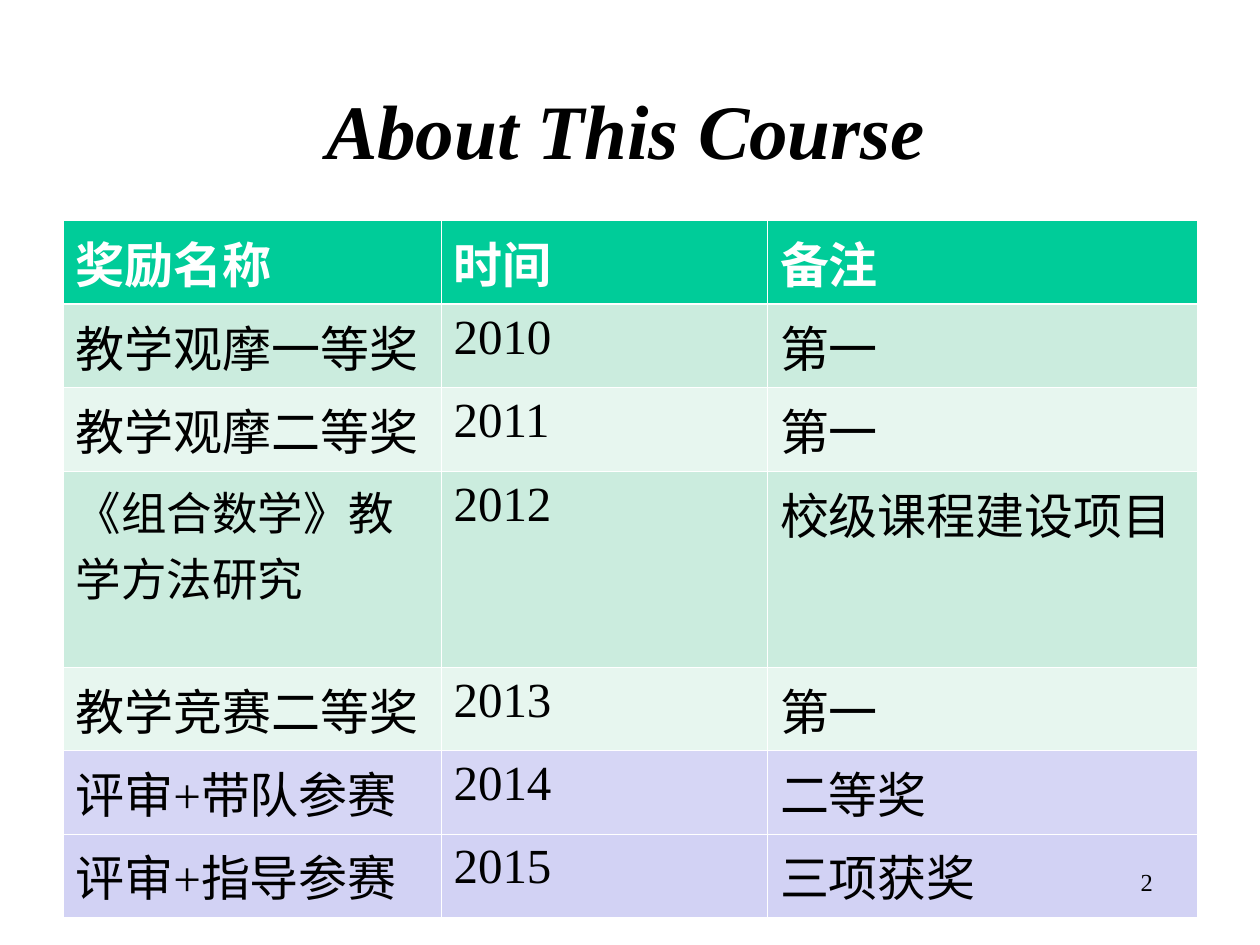
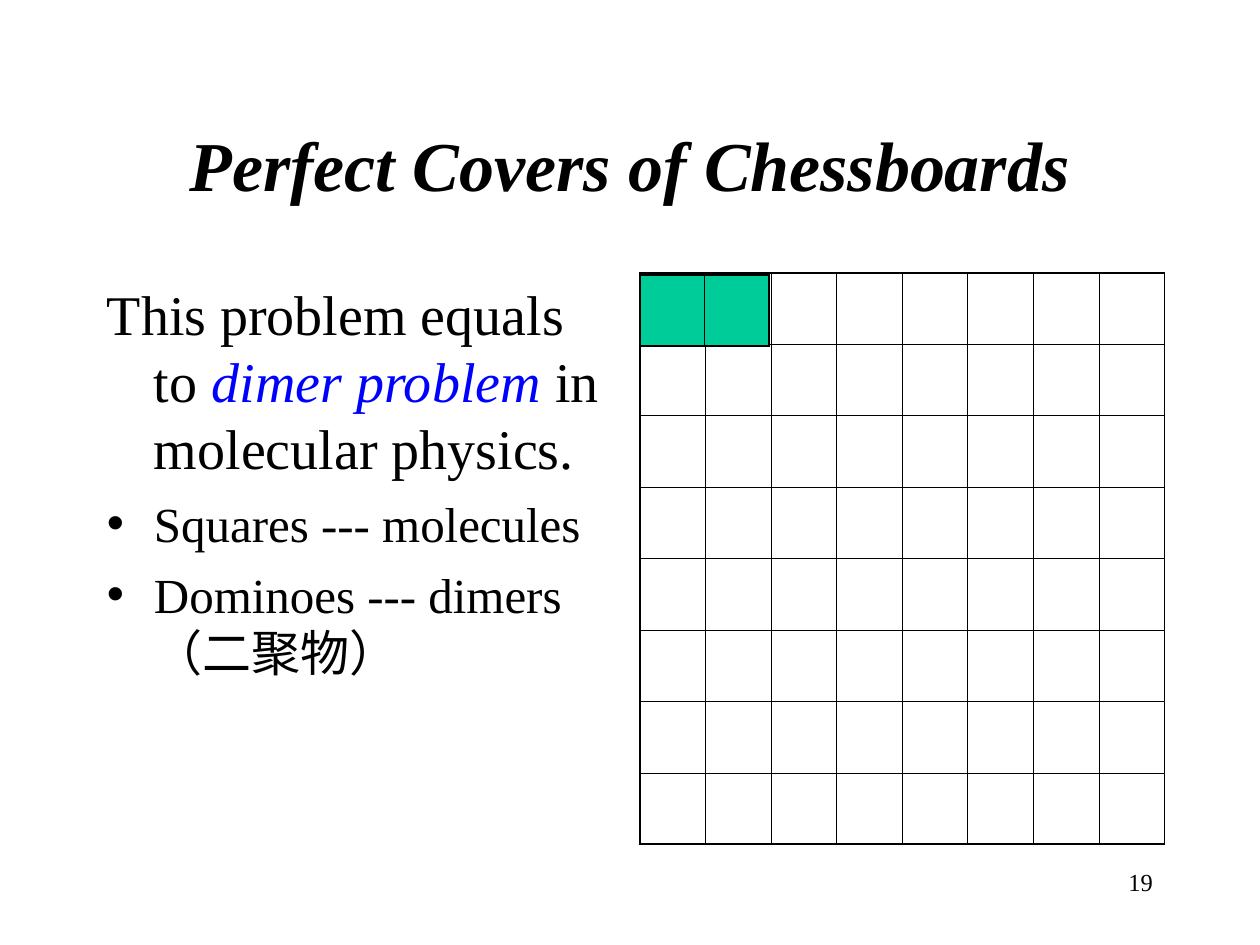
import dataclasses
import typing

import pptx
import pptx.dml.color
import pptx.enum.text
import pptx.oxml.ns
import pptx.oxml.xmlchemy
import pptx.shapes.base
import pptx.slide
import pptx.table
import pptx.text.text
import pptx.util
from lxml import etree

BLACK = pptx.dml.color.RGBColor(0x00, 0x00, 0x00)
WHITE = pptx.dml.color.RGBColor(0xFF, 0xFF, 0xFF)
BLUE = pptx.dml.color.RGBColor(0x00, 0x00, 0xFF)
GREEN = pptx.dml.color.RGBColor(0x00, 0xCC, 0x99)
MINT = pptx.dml.color.RGBColor(0xCB, 0xEC, 0xDE)
PALE = pptx.dml.color.RGBColor(0xE7, 0xF6, 0xEF)
LILAC = pptx.dml.color.RGBColor(0xD6, 0xD6, 0xF5)
MAUVE = pptx.dml.color.RGBColor(0xD2, 0xD2, 0xF4)

FONT = "Times New Roman"
THIN, RIM, RULE = 0.45, 1.08, 1.47
ALIGN = pptx.enum.text.PP_ALIGN


class Box(typing.NamedTuple):
    """Place and size in centimetres."""
    left: float
    top: float
    width: float
    height: float

    def emu(self) -> list[pptx.util.Length]:
        return [pptx.util.Cm(side) for side in self]


class Sides(typing.NamedTuple):
    """Border widths of a cell in points, in the order the file needs."""
    lnL: float = THIN
    lnR: float = THIN
    lnT: float = THIN
    lnB: float = THIN


@dataclasses.dataclass
class Award:
    name: str
    year: str
    note: str
    fill: pptx.dml.color.RGBColor
    size: int = 28


@dataclasses.dataclass
class Grid:
    """A board of equal cells with a heavier rim."""
    box: Box
    rows: int
    cols: int
    fill: pptx.dml.color.RGBColor | None = None


PAGE = Box(18.21, 17.35, 5.28, 1.27)
HEAD = Award("奖励名称", "时间", "备注", GREEN)
AWARDS = [
    Award("教学观摩一等奖", "2010", "第一", MINT),
    Award("教学观摩二等奖", "2011", "第一", PALE),
    Award("《组合数学》教学方法研究", "2012", "校级课程建设项目", MINT, 26),
    Award("教学竞赛二等奖", "2013", "第一", PALE),
    Award("评审+带队参赛", "2014", "二等奖", LILAC),
    Award("评审+指导参赛", "2015", "三项获奖", MAUVE),
]
WIDTHS = [7.62, 6.58, 8.66]
LOW, TALL = 1.68, 3.95
BOARD = Grid(Box(12.9, 5.5, 10.58, 11.52), 8, 8)
DOMINO = Grid(Box(12.9, 5.54, 2.6, 1.44), 1, 2, GREEN)


def style(run: pptx.text.text._Run, size: float, color: pptx.dml.color.RGBColor = BLACK,
          bold: bool = False, slant: bool = False) -> None:
    font = run.font
    font.name, font.size = FONT, pptx.util.Pt(size)
    font.bold, font.italic = bold, slant
    font.color.rgb = color


def move(shape: pptx.shapes.base.BaseShape, box: Box) -> None:
    shape.left, shape.top, shape.width, shape.height = box.emu()


def start(deck: pptx.presentation.Presentation, kind: int, title: str,
          box: Box, size: int, page: str) -> tuple[pptx.slide.Slide, typing.Callable]:
    """Add a slide with its title; the second result adds the page number."""
    slide = deck.slides.add_slide(deck.slide_layouts[kind])
    head = slide.shapes.title
    move(head, box)
    frame = head.text_frame
    frame.text = title
    frame.auto_size = pptx.enum.text.MSO_AUTO_SIZE.NONE
    frame.vertical_anchor = pptx.enum.text.MSO_ANCHOR.MIDDLE
    frame.paragraphs[0].alignment = ALIGN.CENTER
    style(frame.paragraphs[0].runs[0], size, bold=True, slant=True)

    def number() -> None:
        note = slide.shapes.add_textbox(*PAGE.emu()).text_frame
        note.word_wrap = True
        note.text = page
        note.paragraphs[0].alignment = ALIGN.RIGHT
        style(note.paragraphs[0].runs[0], 14)

    return slide, number


def table(slide: pptx.slide.Slide, box: Box, rows: int, cols: int) -> pptx.table.Table:
    """Add a table without the banded look."""
    made = slide.shapes.add_table(rows, cols, *box.emu()).table
    made.first_row = made.horz_banding = False
    return made


def paint(cell: pptx.table._Cell, fill: pptx.dml.color.RGBColor | None,
          line: pptx.dml.color.RGBColor, sides: Sides) -> None:
    """Fill a cell and draw its borders."""
    if fill is None:
        cell.fill.background()
    else:
        cell.fill.solid()
        cell.fill.fore_color.rgb = fill
    qn = pptx.oxml.ns.qn
    props = cell._tc.get_or_add_tcPr()
    for place, (tag, width) in enumerate(sides._asdict().items()):
        edge = etree.Element(qn(f"a:{tag}"), w=str(pptx.util.Pt(width)))
        solid = etree.SubElement(edge, qn("a:solidFill"))
        etree.SubElement(solid, qn("a:srgbClr"), val=str(line))
        props.insert(place, edge)


def awards(slide: pptx.slide.Slide) -> None:
    lines = [HEAD, *AWARDS]
    box = Box(1.27, 4.45, sum(WIDTHS), LOW * len(lines))
    grid = table(slide, box, len(lines), len(WIDTHS))
    for col, width in zip(grid.columns, WIDTHS):
        col.width = pptx.util.Cm(width)
    for r, award in enumerate(lines):
        head = award is HEAD
        grid.rows[r].height = pptx.util.Cm(TALL if award.size < 28 else LOW)
        sides = Sides(lnT=RULE if r == 1 else THIN, lnB=RULE if head else THIN)
        for c, words in enumerate((award.name, award.year, award.note)):
            cell = grid.cell(r, c)
            cell.text_frame.text = words
            style(cell.text_frame.paragraphs[0].runs[0], 28 if c else award.size,
                  WHITE if head else BLACK, bold=head)
            paint(cell, award.fill, WHITE, sides)


def board(slide: pptx.slide.Slide, grid: Grid) -> None:
    made = table(slide, grid.box, grid.rows, grid.cols)
    for r in range(grid.rows):
        for c in range(grid.cols):
            rims = (c == 0, c == grid.cols - 1, r == 0, r == grid.rows - 1)
            sides = Sides(*(RIM if rim else THIN for rim in rims))
            paint(made.cell(r, c), grid.fill, BLACK, sides)


def indent(para: pptx.text.text._Paragraph, gap: float, mark: str = "") -> None:
    """Hang the first line and set the bullet, if there is one."""
    para.space_before = pptx.util.Pt(gap)
    props = para._p.get_or_add_pPr()
    hang = pptx.util.Cm(0.95)
    props.set("marL", str(hang))
    props.set("indent", str(-hang))
    qn = pptx.oxml.ns.qn
    if mark:
        etree.SubElement(props, qn("a:buChar"), char=mark)
    else:
        etree.SubElement(props, qn("a:buNone"))


def dimers(slide: pptx.slide.Slide) -> None:
    body = slide.placeholders[1]
    move(body, Box(1.9, 5.5, 10.58, 11.43))
    frame = body.text_frame
    frame.auto_size = pptx.enum.text.MSO_AUTO_SIZE.NONE
    lead = frame.paragraphs[0]
    indent(lead, 8)
    for words, key in (("This problem equals to ", False), ("dimer problem", True),
                       (" in molecular physics.", False)):
        run = lead.add_run()
        run.text = words
        style(run, 32, BLUE if key else BLACK, slant=key)
    for words in ("Squares --- molecules", "Dominoes --- dimers （二聚物）"):
        para = frame.add_paragraph()
        para.text = words
        indent(para, 7, "•")
        style(para.runs[0], 28)


def main() -> None:
    deck = pptx.Presentation()
    deck.slide_width, deck.slide_height = pptx.util.Cm(25.4), pptx.util.Cm(19.05)

    slide, number = start(deck, 5, "About This Course",
                          Box(1.19, 1, 22.86, 3.18), 44, "2")
    awards(slide)
    number()

    slide, number = start(deck, 1, "Perfect Covers of Chessboards",
                          Box(1.9, 1.7, 21.59, 3.18), 40, "19")
    dimers(slide)
    for grid in (BOARD, DOMINO):
        board(slide, grid)
    number()

    deck.save("out.pptx")


if __name__ == "__main__":
    main()
